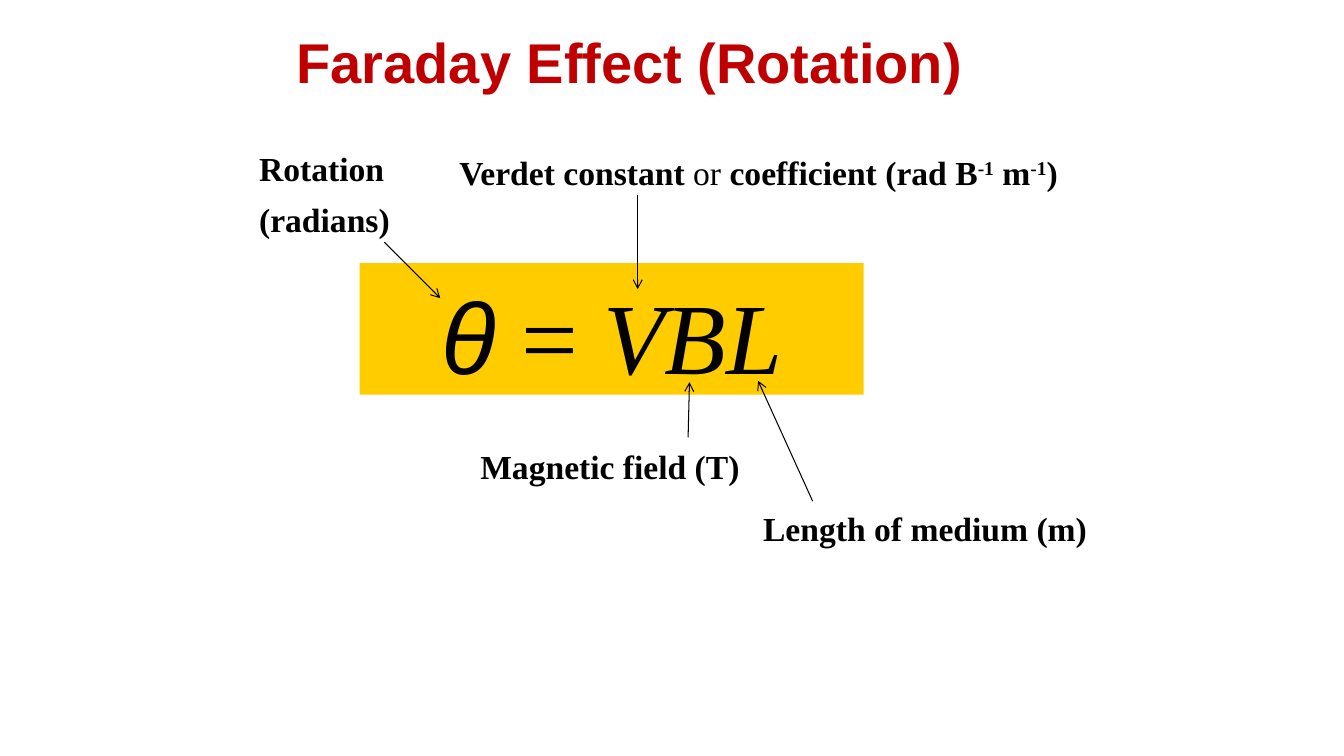
from lxml import etree
from pptx import Presentation
from pptx.dml.color import RGBColor
from pptx.enum import shapes, text
from pptx.oxml.ns import qn
from pptx.util import Pt

COLORS = {"title": "C00000", "ink": "000000", "highlight": "FFCC00"}
SANS, SERIF = "Arial", "Times New Roman"


def write(box, paragraphs, size, color="ink", font=SERIF, align=text.PP_ALIGN.LEFT,
          space_after=0, wrap=True):
    """Fill a box; each paragraph is a list of (wording, styles) pairs."""
    frame = box.text_frame
    frame.word_wrap = wrap
    frame.vertical_anchor = text.MSO_ANCHOR.TOP
    frame.text = "\n".join("" for _ in paragraphs)
    for para, spans in zip(frame.paragraphs, paragraphs):
        para.alignment = align
        para.line_spacing = 1.05
        para.space_after = Pt(space_after)
        for wording, styles in spans:
            span = para.add_run()
            span.text = wording
            span.font.size = Pt(size)
            span.font.name = SANS if "sans" in styles else font
            span.font.bold = "bold" in styles
            span.font.italic = "italic" in styles
            span.font.color.rgb = RGBColor.from_string(COLORS[color])
            if "super" in styles:
                span.font._element.set("baseline", "30000")


def add_text(slide, left, top, width, height, paragraphs, size=24, **options):
    box = slide.shapes.add_textbox(Pt(left), Pt(top), Pt(width), Pt(height))
    write(box, paragraphs, size, **options)
    return box


def add_equation(slide, left, top, width, height, spans):
    box = slide.shapes.add_shape(shapes.MSO_SHAPE.RECTANGLE,
                                 Pt(left), Pt(top), Pt(width), Pt(height))
    box.shadow.inherit = False
    box.fill.solid()
    box.fill.fore_color.rgb = RGBColor.from_string(COLORS["highlight"])
    box.line.fill.background()
    write(box, [spans], 72, align=text.PP_ALIGN.CENTER, space_after=6)


def add_arrow(slide, *ends):
    arrow = slide.shapes.add_connector(shapes.MSO_CONNECTOR.STRAIGHT, *map(Pt, ends))
    arrow.line.color.rgb = RGBColor.from_string(COLORS["ink"])
    arrow.line.width = Pt(0.75)
    etree.SubElement(arrow.line._get_or_add_ln(), qn("a:tailEnd"), type="arrow")
    etree.SubElement(arrow._element.spPr, qn("a:effectLst"))


def main():
    deck = Presentation()
    deck.slide_width, deck.slide_height = Pt(960), Pt(540)
    slide = deck.slides.add_slide(deck.slide_layouts[6])

    title = add_text(slide, 143.5, 11.5, 612, 51, [[("Faraday Effect (Rotation)", ["bold"])]],
                     size=40, color="title", font=SANS, align=text.PP_ALIGN.CENTER)
    title.text_frame.margin_top = Pt(5.5)

    add_equation(slide, 257, 188, 360, 94, [
        ("θ", ["sans", "italic"]), (" = ", []), ("VBL", ["italic"])])

    add_text(slide, 178, 101, 114.5, 71,
             [[("Rotation", ["bold"])], [("(radians)", ["bold"])]], space_after=6)
    add_text(slide, 321, 103.5, 463, 36, [[
        ("Verdet constant", ["bold"]), (" or ", []), ("coefficient (rad B", ["bold"]),
        ("-1", ["bold", "super"]), (" m", ["bold"]), ("-1", ["bold", "super"]),
        (")", ["bold"])]], wrap=False)
    add_text(slide, 336, 313.5, 201.5, 36.5, [[("Magnetic field (T)", ["bold"])]], wrap=False)
    add_text(slide, 538, 358, 248.5, 36.5, [[("Length of medium (m)", ["bold"])]], wrap=False)

    for ends in [(274.5, 173, 314.5, 213), (455.5, 139, 455.5, 206.5),
                 (491.5, 312.5, 492.5, 273), (580.5, 358, 541.5, 272)]:
        add_arrow(slide, *ends)

    deck.save("out.pptx")


if __name__ == "__main__":
    main()
